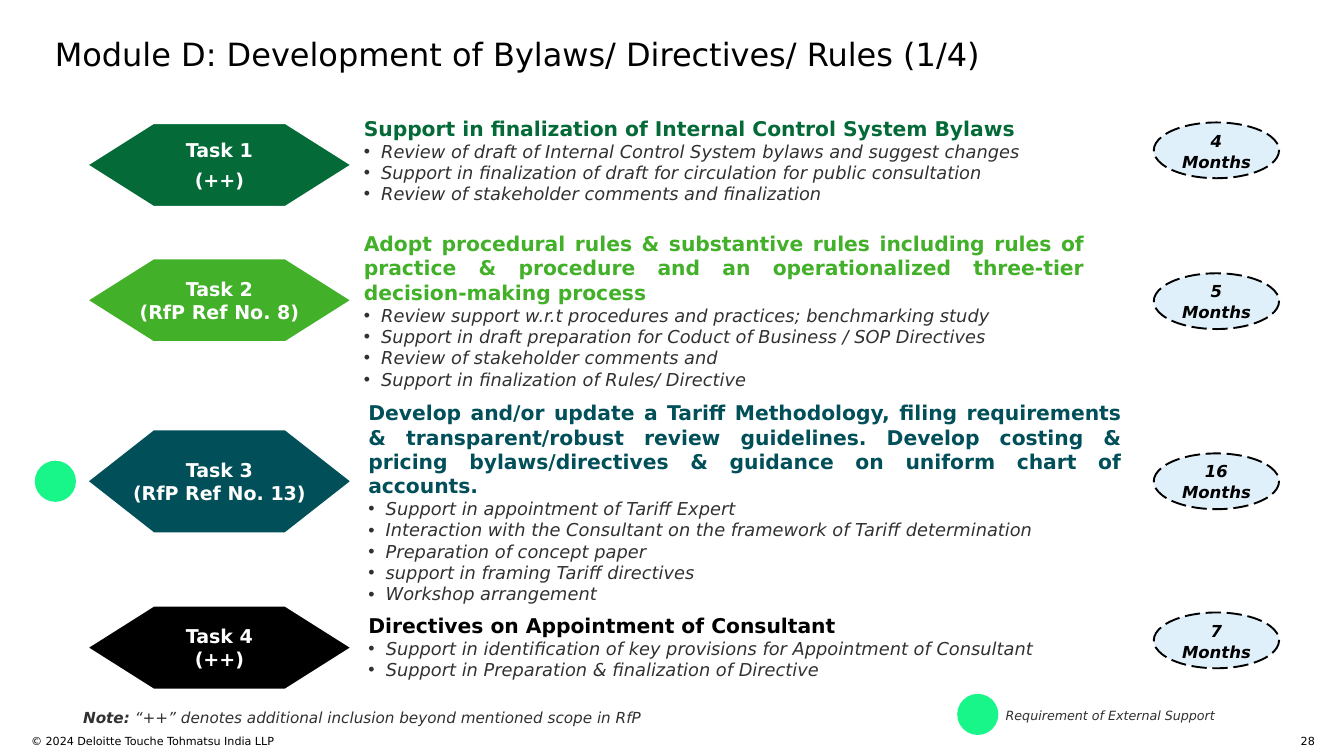
from lxml.etree import SubElement
from pptx import Presentation
from pptx.dml.color import RGBColor
from pptx.enum.dml import MSO_LINE
from pptx.enum.shapes import MSO_SHAPE
from pptx.enum.text import MSO_ANCHOR, PP_ALIGN
from pptx.oxml.ns import qn
from pptx.util import Inches, Pt

WIDE, HIGH = Inches(14.7), Inches(8.27)
FACE = "DejaVu Sans"
HUES = {"ink": "000000", "text": "313131", "white": "FFFFFF", "pale": "E0F0FA",
        "mint": "18F689", "forest": "046A38", "leaf": "43B02A", "teal": "004F59"}

# Places are percentages of the slide's width and height.
HEX_X, HEX_W = 6.53, 19.59
OVAL_X, OVAL_W, OVAL_H = 85.85, 9.32, 7.38
DOT_W, DOT_H = 3.06, 5.44

TASKS = [
    {"hue": "forest", "hex": (16.32, 11), "gap": 6, "oval": 16.2,
     "body": (27.07, 15.36, 55.51, 11.85),
     "label": ["Task 1", "(++)"], "time": "4 Months",
     "head": "Support in finalization of Internal Control System Bylaws",
     "items": ["Review of draft of Internal Control System bylaws and suggest changes",
               "Support in finalization of draft for circulation for public consultation",
               "Review of stakeholder comments and finalization"]},
    {"hue": "leaf", "hex": (34.22, 11), "gap": 0, "oval": 36.15,
     "body": (27.07, 30.59, 53.61, 21.16),
     "label": ["Task 2", "(RfP Ref No. 8)"], "time": "5 Months",
     "head": "Adopt procedural rules & substantive rules including rules of practice "
             "& procedure and an operationalized three-tier decision-making process",
     "items": ["Review support w.r.t procedures and practices; benchmarking study",
               "Support in draft preparation for Coduct of Business / SOP Directives",
               "Review of stakeholder comments and",
               "Support in finalization of Rules/ Directive"]},
    {"hue": "teal", "hex": (56.83, 13.66), "gap": 0, "oval": 59.98,
     "body": (27.41, 52.96, 56.05, 27.33),
     "label": ["Task 3", "(RfP Ref No. 13)"], "time": "16 Months",
     "head": "Develop and/or update a Tariff Methodology, filing requirements & "
             "transparent/robust review guidelines. Develop costing & pricing "
             "bylaws/directives & guidance on uniform chart of accounts.",
     "items": ["Support in appointment of Tariff Expert",
               "Interaction with the Consultant on the framework of Tariff determination",
               "Preparation of concept paper",
               "support in framing Tariff directives",
               "Workshop arrangement"]},
    {"hue": "ink", "hex": (80.17, 11), "gap": 0, "oval": 81.02,
     "body": (27.41, 81.14, 49.93, 8.95),
     "label": ["Task 4", "(++)"], "time": "7 Months",
     "head": "Directives on Appointment of Consultant",
     "items": ["Support in identification of key provisions for Appointment of Consultant",
               "Support in Preparation & finalization of Directive"]},
]


def place(x, y, w, h):
    """Turn percentages into slide lengths."""
    return [round(part * full / 100)
            for part, full in zip((x, y, w, h), (WIDE, HIGH, WIDE, HIGH))]


def tint(hue):
    return RGBColor.from_string(HUES[hue])


def style(item, form):
    for name, value in form.items():
        setattr(item, name, value)


def write(para, text, size, hue, **form):
    run = para.add_run()
    run.text = text
    style(run.font, {"name": FACE, "size": Pt(size), **form})
    run.font.color.rgb = tint(hue)


def frame(shape, side=0, edge=0, anchor=MSO_ANCHOR.TOP):
    """Set wrap, margins and anchor; give back the first paragraph."""
    text = shape.text_frame
    style(text, {"word_wrap": True, "vertical_anchor": anchor,
                 "margin_left": Inches(side), "margin_right": Inches(side),
                 "margin_top": Inches(edge), "margin_bottom": Inches(edge)})
    return text.paragraphs[0]


def add_text(slide, box, side=0, edge=0):
    return frame(slide.shapes.add_textbox(*place(*box)), side, edge)


def paint(shape, hue):
    shape.shadow.inherit = False
    shape.fill.solid()
    shape.fill.fore_color.rgb = tint(hue)


def add_oval(slide, box, hue):
    oval = slide.shapes.add_shape(MSO_SHAPE.OVAL, *place(*box))
    paint(oval, hue)
    oval.line.fill.background()
    return oval


def add_dot(slide, x, y):
    add_oval(slide, (x, y, DOT_W, DOT_H), "mint")


def add_time(slide, task):
    oval = add_oval(slide, (OVAL_X, task["oval"], OVAL_W, OVAL_H), "pale")
    oval.line.color.rgb = tint("ink")
    style(oval.line, {"width": Pt(1.5), "dash_style": MSO_LINE.LONG_DASH})
    para = frame(oval, 0.08, 0.1, MSO_ANCHOR.MIDDLE)
    style(para, {"alignment": PP_ALIGN.CENTER, "line_spacing": 1.06})
    write(para, task["time"], 13, "ink", bold=True, italic=True)


def add_hex(slide, task):
    top, tall = task["hex"]
    x, y, w, h = place(HEX_X, top, HEX_W, tall)
    near, far, mid = x + w // 4, x + w * 3 // 4, y + h // 2
    pen = slide.shapes.build_freeform(near, y + h)
    pen.add_line_segments([(x, mid), (near, y), (far, y), (x + w, mid), (far, y + h)])
    shape = pen.convert_to_shape()
    paint(shape, task["hue"])
    shape.line.color.rgb = tint("white")
    shape.line.width = Pt(1)
    first = frame(shape, 0.1, 0.05, MSO_ANCHOR.MIDDLE)
    last = shape.text_frame.add_paragraph()
    last.space_before = Pt(task["gap"])
    for para, text in zip((first, last), task["label"]):
        para.alignment = PP_ALIGN.CENTER
        write(para, text, 15, "white", bold=True)


def add_bullet(para):
    props = para._p.get_or_add_pPr()
    props.set("marL", str(Inches(0.19)))
    props.set("indent", str(-Inches(0.19)))
    SubElement(props, qn("a:buFont")).set("typeface", "Arial")
    SubElement(props, qn("a:buChar")).set("char", "•")


def add_body(slide, task):
    box = slide.shapes.add_textbox(*place(*task["body"]))
    head = frame(box)
    head.alignment = PP_ALIGN.JUSTIFY
    write(head, task["head"], 16, task["hue"], bold=True)
    for item in task["items"]:
        para = box.text_frame.add_paragraph()
        para.alignment = PP_ALIGN.JUSTIFY
        add_bullet(para)
        write(para, item, 14, "text", italic=True)


def add_notes(slide):
    """Add the remark and the legend under the tasks."""
    add_dot(slide, 71.22, 91.78)
    key = add_text(slide, (74.83, 93.59, 19.32, 2.06))
    write(key, "Requirement of External Support", 10, "text", italic=True)
    note = add_text(slide, (5.51, 93.11, 50, 3.63), 0.1, 0.05)
    write(note, "Note:", 12, "text", bold=True, italic=True)
    write(note, " “++” denotes additional inclusion beyond mentioned scope in RfP",
          12, "text", italic=True)


def add_foot(slide):
    left = add_text(slide, (2.31, 97.1, 43.95, 2.9))
    write(left, "© 2024 Deloitte Touche Tohmatsu India LLP", 8.8, "ink")
    right = add_text(slide, (95.31, 97.1, 2.52, 1.45))
    right.alignment = PP_ALIGN.RIGHT
    write(right, "28", 8.8, "ink")


def main():
    deck = Presentation()
    style(deck, {"slide_width": WIDE, "slide_height": HIGH})
    slide = deck.slides.add_slide(deck.slide_layouts[6])
    add_foot(slide)
    title = add_text(slide, (4.08, 4.59, 91.57, 4.84))
    write(title, "Module D: Development of Bylaws/ Directives/ Rules (1/4)", 25.2, "ink")
    for task in TASKS:
        add_body(slide, task)
        add_time(slide, task)
        add_hex(slide, task)
    add_dot(slide, 2.59, 60.94)
    add_notes(slide)
    deck.save("out.pptx")


if __name__ == "__main__":
    main()
